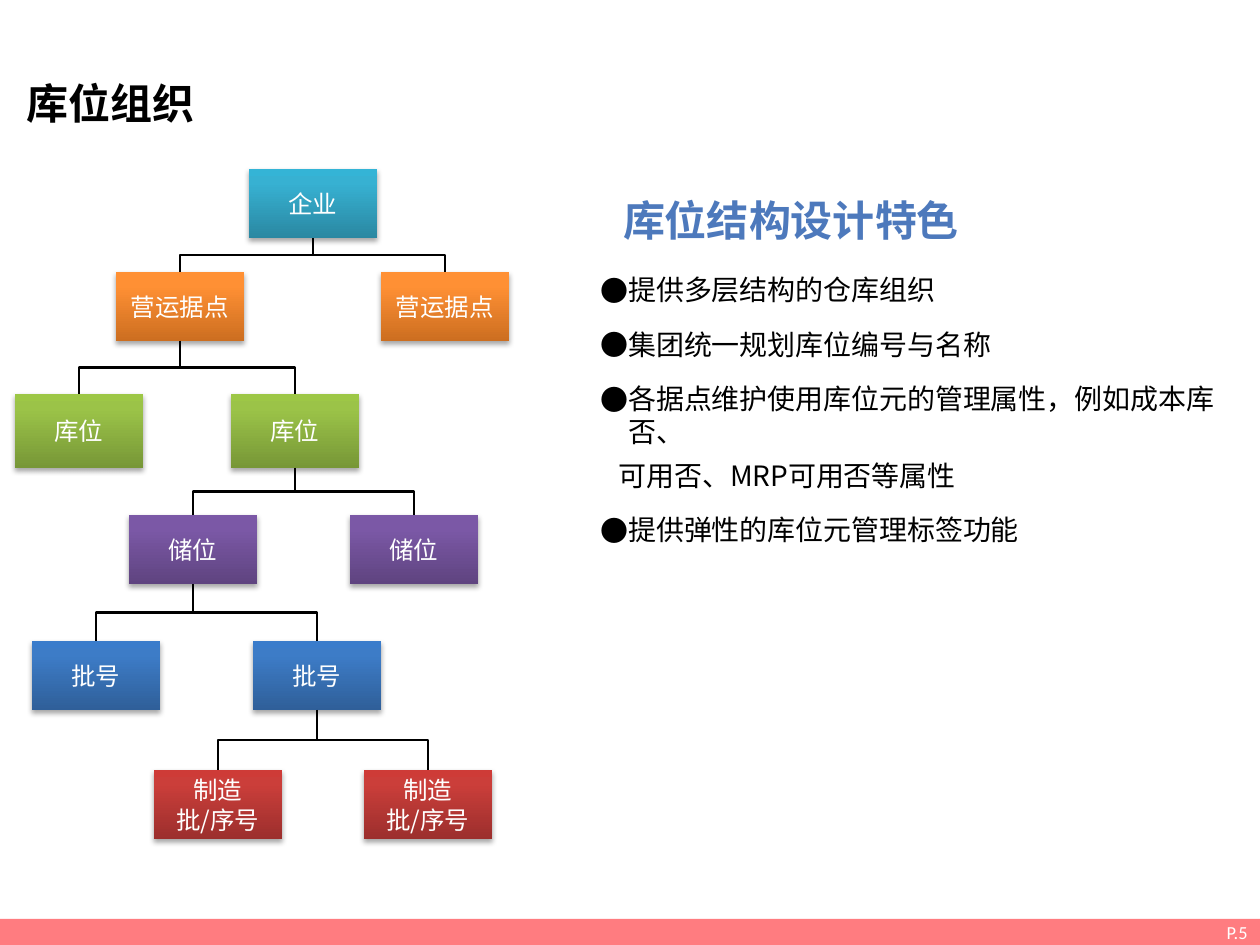
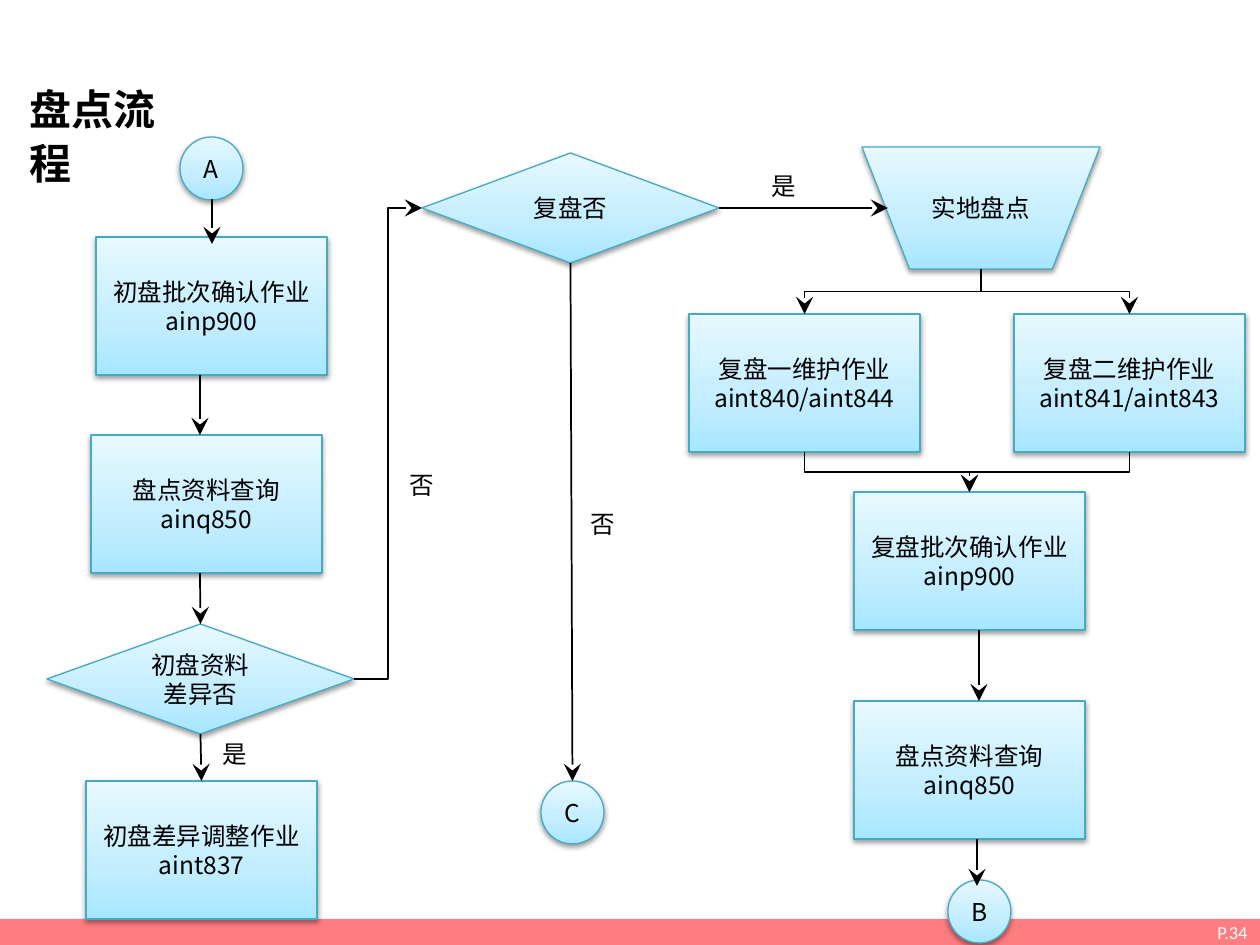
from collections import namedtuple
from dataclasses import dataclass

from lxml.etree import SubElement
from pptx import Presentation
from pptx.dml.color import RGBColor
from pptx.enum.shapes import MSO_CONNECTOR as LINK, MSO_SHAPE as SHAPE
from pptx.enum.text import MSO_ANCHOR as ANCHOR, MSO_AUTO_SIZE as AUTO, PP_ALIGN as ALIGN
from pptx.oxml.ns import qn
from pptx.util import Emu, Pt

Box = namedtuple("Box", "x y w h")
Port = namedtuple("Port", "shape site")
TOP, LEFT, BOTTOM, RIGHT = range(4)


@dataclass(frozen=True)
class Theme:
    font: str = "Noto Sans CJK SC"
    footer_font: str = "Calibri"
    title: int = 24
    title_leading: int = 31
    body: int = 16
    body_leading: int = 19
    label: int = 14
    label_leading: int = 17
    footer: float = 10.5
    black: str = "000000"
    white: str = "FFFFFF"
    band: str = "FF7C80"
    heading: str = "4D79BC"
    outline: str = "46AAC5"
    # Gradient stops run from the bottom edge to the top edge.
    flow: tuple = ((0, "A7E6FF"), (35, "C1EDFF"), (100, "E7F8FF"))
    teal: tuple = ((0, "2A88A2"), (80, "37B1D2"), (100, "34B4D6"))
    orange: tuple = ((0, "CC6E20"), (80, "FF9034"), (100, "FF9136"))
    green: tuple = ((0, "779737"), (80, "9BC348"), (100, "9DC746"))
    purple: tuple = ((0, "5F4480"), (80, "7B58A6"), (100, "7C57A8"))
    blue: tuple = ((0, "2F5F99"), (80, "3D7CC7"), (100, "3A7CCB"))
    red: tuple = ((0, "9C2F2D"), (80, "CB3E3A"), (100, "CE3B37"))


T = Theme()


def px(n):
    return Emu(round(n * 914400 / 126))


def rgb(value):
    return RGBColor.from_string(value)


def write(tf, text, size=T.label, color=T.black, font=T.font, bold=False,
          align=ALIGN.LEFT, anchor=ANCHOR.TOP, leading=T.label_leading, wrap=True):
    """Fill a text frame, one paragraph for each line of text."""
    tf.word_wrap = wrap
    tf.auto_size = AUTO.NONE
    tf.vertical_anchor = anchor
    for i, line in enumerate(text.split("\n")):
        p = tf.add_paragraph() if i else tf.paragraphs[0]
        p.alignment = align
        p.line_spacing = Pt(leading)
        r = p.add_run()
        r.text = line
        r.font.size, r.font.bold, r.font.name = Pt(size), bold, font
        r.font.color.rgb = rgb(color)
        SubElement(r.font._element, qn("a:ea"), typeface=font)


def add_text(slide, box, text, **fmt):
    sp = slide.shapes.add_textbox(*map(px, box))
    write(sp.text_frame, text, **fmt)
    return sp


def add_node(slide, box, text, stops, kind=SHAPE.RECTANGLE, color=T.black,
             outline=None, shadow_alpha=38, shadow_dist=1.6):
    """Add a labelled shape with a vertical gradient and a soft shadow."""
    sp = slide.shapes.add_shape(kind, *map(px, box))
    sp.fill.gradient()
    sp.fill.gradient_angle = 90
    stop_list = sp.element.spPr.find(qn("a:gradFill")).find(qn("a:gsLst"))
    for stop in list(stop_list):
        stop_list.remove(stop)
    for pos, value in stops:
        stop = SubElement(stop_list, qn("a:gs"), pos=str(pos * 1000))
        SubElement(stop, qn("a:srgbClr"), val=value)
    if outline:
        sp.line.color.rgb = rgb(outline)
        sp.line.width = Pt(0.75)
    else:
        sp.line.fill.background()
    sp.shadow.inherit = False
    shadow = SubElement(sp.element.spPr.find(qn("a:effectLst")), qn("a:outerShdw"),
                        blurRad=str(Pt(3.1)), dist=str(Pt(shadow_dist)),
                        dir="5400000", rotWithShape="0")
    black = SubElement(shadow, qn("a:srgbClr"), val=T.black)
    SubElement(black, qn("a:alpha"), val=str(shadow_alpha * 1000))
    write(sp.text_frame, text, color=color, align=ALIGN.CENTER, anchor=ANCHOR.MIDDLE)
    return sp


def connect(slide, begin, end, kind=LINK.STRAIGHT, weight=1, arrow=True):
    """Join two ends, each a Port on a shape or an (x, y) point in px."""
    start, stop = (px(0), px(0)) if isinstance(begin, Port) else map(px, begin)
    x, y = (start, stop) if isinstance(end, Port) else map(px, end)
    c = slide.shapes.add_connector(kind, start, stop, x, y)
    if isinstance(begin, Port):
        c.begin_connect(*begin)
    if isinstance(end, Port):
        c.end_connect(*end)
    c.line.color.rgb = rgb(T.black)
    c.line.width = Pt(weight)
    spPr = c.element.spPr
    if arrow:
        SubElement(spPr.find(qn("a:ln")), qn("a:tailEnd"), type="stealth", w="lg", len="lg")
    SubElement(spPr, qn("a:effectLst"))
    return c


def drop(slide, upper, lower, **fmt):
    """Join a bottom side to a top side by an elbow that leaves downwards."""
    c = connect(slide, Port(upper, BOTTOM), Port(lower, TOP), LINK.ELBOW, **fmt)
    rightward = c.end_x > c.begin_x
    mid_x, mid_y = c.left + c.width // 2, c.top + c.height // 2
    w, h = c.height, c.width
    c.left, c.top, c.width, c.height = mid_x - w // 2, mid_y - h // 2, w, h
    xfrm = c.element.spPr.find(qn("a:xfrm"))
    for flip in ("flipH", "flipV"):
        xfrm.attrib.pop(flip, None)
    xfrm.set("rot", "16200000" if rightward else "5400000")
    if rightward:
        xfrm.set("flipH", "1")


def add_slide(prs, title, title_box, page):
    slide = prs.slides.add_slide(prs.slide_layouts[5])
    sp = slide.shapes.title
    sp.left, sp.top, sp.width, sp.height = map(px, title_box)
    write(sp.text_frame, title, size=T.title, bold=True, leading=T.title_leading)
    band = slide.shapes.add_shape(SHAPE.RECTANGLE, *map(px, (0, 919, 1260, 26)))
    band.fill.solid()
    band.fill.fore_color.rgb = rgb(T.band)
    band.line.fill.background()
    band.shadow.inherit = False
    write(band.text_frame, f"P.{page}", size=T.footer, color=T.white, font=T.footer_font,
          align=ALIGN.RIGHT, anchor=ANCHOR.MIDDLE, leading=13)
    return slide


def organisation_tree(slide, box):
    # label, gradient, top, height, lefts, column of the parent one level up
    levels = [
        ("企业", T.teal, 0, 69, (234,), None),
        ("营运据点", T.orange, 103, 69, (101, 366), 0),
        ("库位", T.green, 225, 74, (0, 216), 0),
        ("储位", T.purple, 346, 69, (114, 335), 1),
        ("批号", T.blue, 472, 69, (17, 238), 0),
        ("制造批/序号", T.red, 601, 69, (139, 349), 1),
    ]
    above = []
    for label, stops, top, height, lefts, parent in levels:
        row = [add_node(slide, Box(box.x + left, box.y + top, 128, height), label, stops,
                        color=T.white, shadow_alpha=35, shadow_dist=1.8) for left in lefts]
        if parent is not None:
            for child in row:
                drop(slide, above[parent], child, weight=1.5, arrow=False)
        above = row


def features(slide, box):
    add_text(slide, Box(box.x + 22, box.y, 362, 67), "库位结构设计特色", size=T.title,
             color=T.heading, bold=True, align=ALIGN.CENTER, leading=T.title_leading, wrap=False)
    # text, bulleted
    points = [
        ("提供多层结构的仓库组织", True),
        ("集团统一规划库位编号与名称", True),
        ("各据点维护使用库位元的管理属性，例如成本库否、", True),
        ("可用否、MRP可用否等属性", False),
        ("提供弹性的库位元管理标签功能", True),
    ]
    sp = add_text(slide, Box(box.x, box.y + 83, box.w, box.h - 83),
                  "\n".join(text for text, _ in points),
                  size=T.body, leading=T.body_leading)
    for i, (p, (_, bulleted)) in enumerate(zip(sp.text_frame.paragraphs, points)):
        if i:
            p.space_before = Pt(12 if bulleted else 6)
        pPr = p._p.get_or_add_pPr()
        pPr.set("marL", str(px(28 if bulleted else 18)))
        pPr.set("indent", str(px(-28 if bulleted else 0)))
        if bulleted:
            SubElement(pPr, qn("a:buFont"), typeface=T.font)
            SubElement(pPr, qn("a:buChar"), char="●")


def counting_flow(slide, box):
    def at(x, y):
        return box.x + x, box.y + y

    def node(text, x, y, w=231, h=138, kind=SHAPE.RECTANGLE):
        return add_node(slide, Box(*at(x, y), w, h), text, T.flow, kind, outline=T.outline)

    def decision(text, x, y, w):
        return node(text, x, y, w, 110, SHAPE.FLOWCHART_DECISION)

    def jump(text, x, y):
        return node(text, x, y, 63, 63, SHAPE.FLOWCHART_CONNECTOR)

    jump("A", 133, 0)
    node("初盘批次确认作业\nainp900", 49, 100)
    node("盘点资料查询ainq850", 44, 298)
    differs = decision("初盘资料\n差异否", 0, 487, 307)
    adjust = node("初盘差异调整作业aint837", 39, 644)

    recount = decision("复盘否", 375, 16, 297)
    jump_c = jump("C", 494, 644)

    on_site = node("实地盘点", 815, 10, 238, 122, SHAPE.FLOWCHART_MANUAL_OPERATION)
    counts = [node("复盘一维护作业aint840/aint844", 642, 177),
              node("复盘二维护作业aint841/aint843", 967, 177)]
    confirm = node("复盘批次确认作业\nainp900", 807, 355)
    node("盘点资料查询ainq850", 807, 564)
    jump("B", 901, 743)

    for begin, end in [
        (at(165, 62), at(165, 107)),
        (at(153, 238), at(153, 298)),
        (at(153, 436), Port(differs, TOP)),
        (Port(differs, BOTTOM), Port(adjust, TOP)),
        (Port(recount, BOTTOM), Port(jump_c, TOP)),
        (Port(recount, RIGHT), at(841, 71)),
        (at(932, 493), at(932, 564)),
        (at(930, 702), at(930, 749)),
    ]:
        connect(slide, begin, end)
    connect(slide, Port(differs, RIGHT), Port(recount, LEFT), LINK.ELBOW)
    for count in counts:
        drop(slide, on_site, count)
        drop(slide, count, confirm)

    for answer, x, y in [("否", 350, 326), ("是", 163, 595), ("否", 531, 365), ("是", 712, 27)]:
        add_text(slide, Box(*at(x, y), 49, 44), answer, wrap=False)


def main():
    prs = Presentation()
    prs.slide_width, prs.slide_height = px(1260), px(945)

    slide = add_slide(prs, "库位组织", Box(14, 67, 525, 67), 5)
    organisation_tree(slide, Box(15, 169, 494, 670))
    features(slide, Box(588, 184, 640, 369))

    slide = add_slide(prs, "盘点流程", Box(17, 73, 193, 67), 34)
    counting_flow(slide, Box(47, 137, 1198, 806))

    prs.save("out.pptx")


if __name__ == "__main__":
    main()
